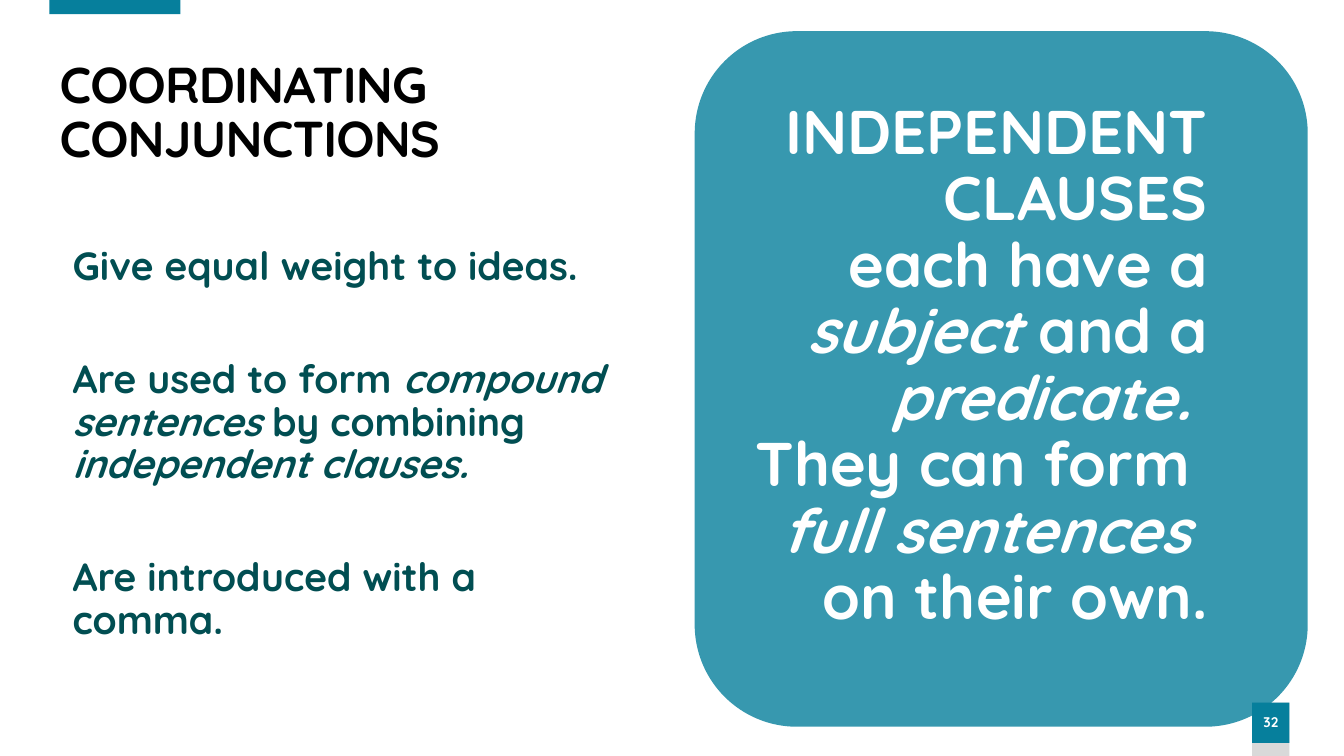
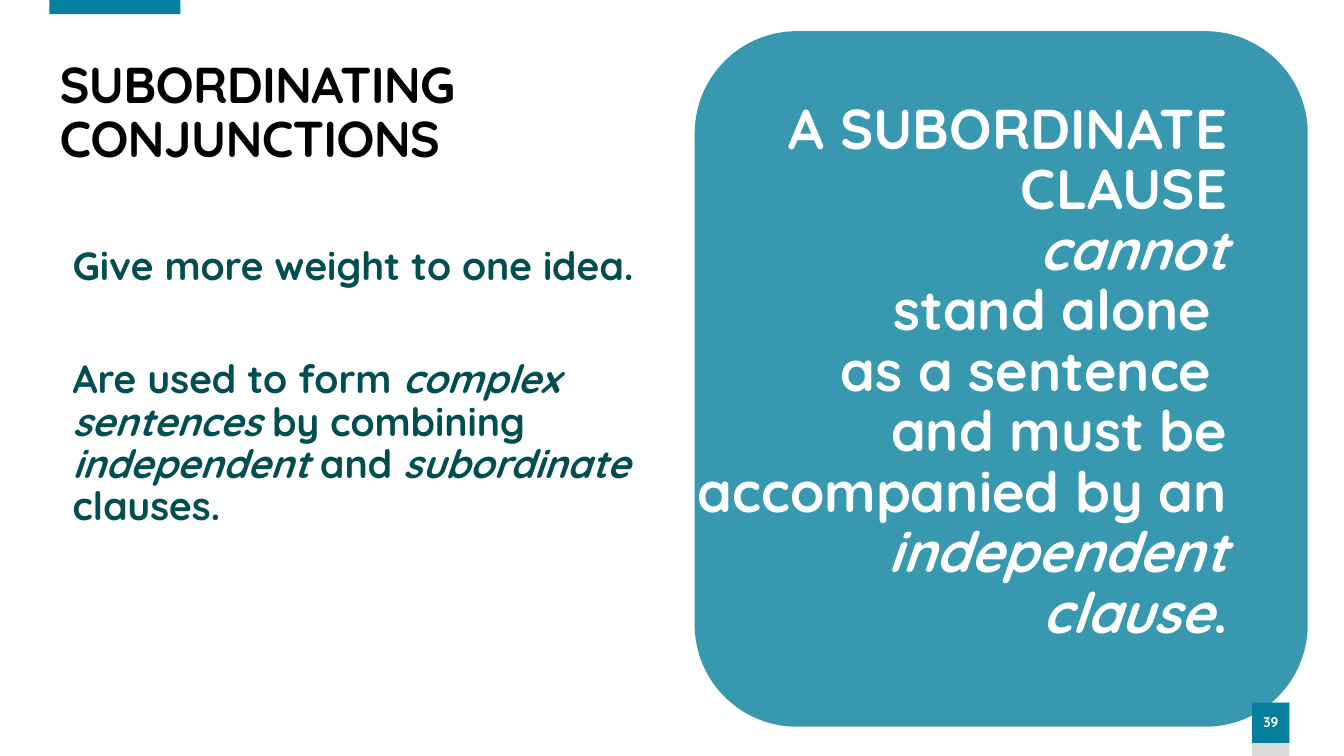
from lxml import etree
from pptx import Presentation
from pptx import util as u
from pptx.dml.color import RGBColor
from pptx.enum import shapes, text
from pptx.oxml.ns import qn

SCALE = 9144
COLORS = {"teal": "067F9C", "gray": "D9D9D9", "ink": "014E52",
          "black": "000000", "white": "FFFFFF"}
FONT = "Quicksand"
LEFT, CENTER, RIGHT = text.PP_ALIGN.LEFT, text.PP_ALIGN.CENTER, text.PP_ALIGN.RIGHT
TOP, MIDDLE = text.MSO_ANCHOR.TOP, text.MSO_ANCHOR.MIDDLE
RECTANGLE, ROUNDED = shapes.MSO_SHAPE.RECTANGLE, shapes.MSO_SHAPE.ROUNDED_RECTANGLE

STYLES = {
    "title": {"size": 36, "color": "black", "align": LEFT, "anchor": MIDDLE, "spacing": "-60"},
    "points": {"size": 28, "color": "ink", "align": LEFT, "anchor": TOP},
    "clause": {"color": "white", "align": RIGHT, "anchor": TOP},
    "number": {"size": 10, "color": "white", "align": CENTER, "anchor": MIDDLE},
}
POINT_GAP = 50.5

SLIDES = [
    {"number": "32",
     "title": "COORDINATING CONJUNCTIONS",
     "points": ["Give equal weight to ideas.",
                "Are used to form *compound sentences* by combining *independent clauses.*",
                "Are introduced with a comma."],
     "points_width": 552,
     "clause": "INDEPENDENT CLAUSES\neach have a *subject *and a *predicate. \n*"
               "They can form \n*full sentences \n*on their own.",
     "clause_left": 656, "clause_size": 44},
    {"number": "39",
     "title": "SUBORDINATING\nCONJUNCTIONS",
     "points": ["Give more weight to one idea.",
                "Are used to form *complex sentences* by combining "
                "*independent *and *subordinate *clauses."],
     "points_width": 612,
     "clause": "A SUBORDINATE CLAUSE\n*cannot\n*stand alone \nas a sentence \n"
               "and must be accompanied by an *independent clause*.",
     "clause_left": 675, "clause_size": 40},
]


def add_block(slide, kind, box, color):
    shape = slide.shapes.add_shape(kind, *[u.Emu(px * SCALE) for px in box])
    shape.shadow.inherit = False
    shape.fill.solid()
    shape.fill.fore_color.rgb = RGBColor.from_string(COLORS[color])
    shape.line.fill.background()
    return shape


def write_text(shape, lines, style, box=None):
    if box:
        for name, px in zip(("left", "top", "width", "height"), box):
            setattr(shape, name, u.Emu(px * SCALE))
    frame = shape.text_frame
    frame_format = {"word_wrap": True, "auto_size": text.MSO_AUTO_SIZE.NONE,
                    "vertical_anchor": style["anchor"]}
    for name, value in frame_format.items():
        setattr(frame, name, value)
    for index, line in enumerate(lines):
        paragraph = frame.add_paragraph() if index else frame.paragraphs[0]
        properties = paragraph._p.get_or_add_pPr()
        properties.set("marL", "0")
        properties.set("indent", "0")
        etree.SubElement(properties, qn("a:buNone"))
        paragraph_format = {"alignment": style["align"], "line_spacing": 0.9,
                            "space_before": u.Pt(POINT_GAP if index else 0)}
        for name, value in paragraph_format.items():
            setattr(paragraph, name, value)
        for part_index, part in enumerate(line.split("*")):
            for row_index, row in enumerate(part.split("\n")):
                if row_index:
                    paragraph.add_line_break()
                if not row:
                    continue
                run = paragraph.add_run()
                run.text = row
                font_format = {"name": FONT, "size": u.Pt(style["size"]), "bold": True,
                               "italic": part_index % 2 == 1}
                for name, value in font_format.items():
                    setattr(run.font, name, value)
                run.font.color.rgb = RGBColor.from_string(COLORS[style["color"]])
                if "spacing" in style:
                    run._r.get_or_add_rPr().set("spc", style["spacing"])


presentation = Presentation()
presentation.slide_width = u.Emu(1333 * SCALE)
presentation.slide_height = u.Emu(750 * SCALE)

for content in SLIDES:
    slide = presentation.slides.add_slide(presentation.slide_layouts[3])
    title, points, clause = slide.placeholders

    add_block(slide, RECTANGLE, (49, 0, 130, 14), "teal")
    write_text(title, [content["title"]], STYLES["title"], (49, 54, 565, 119))
    write_text(points, content["points"], STYLES["points"],
               (62, 240, content["points_width"], 37))

    add_block(slide, RECTANGLE, (1242, 697, 37, 53), "gray")
    badge = add_block(slide, RECTANGLE, (1242, 697, 37, 40), "teal")
    badge.text_frame.margin_left = badge.text_frame.margin_right = 0
    write_text(badge, [content["number"]], STYLES["number"])

    panel = add_block(slide, ROUNDED, (689, 31, 608, 690), "teal")
    color_element = panel.element.spPr.find(".//" + qn("a:srgbClr"))
    etree.SubElement(color_element, qn("a:alpha"), val="80000")

    panel.element.addnext(clause.element)
    write_text(clause, [content["clause"]],
               {**STYLES["clause"], "size": content["clause_size"]},
               (content["clause_left"], 95, 552, 37))

presentation.save("out.pptx")
